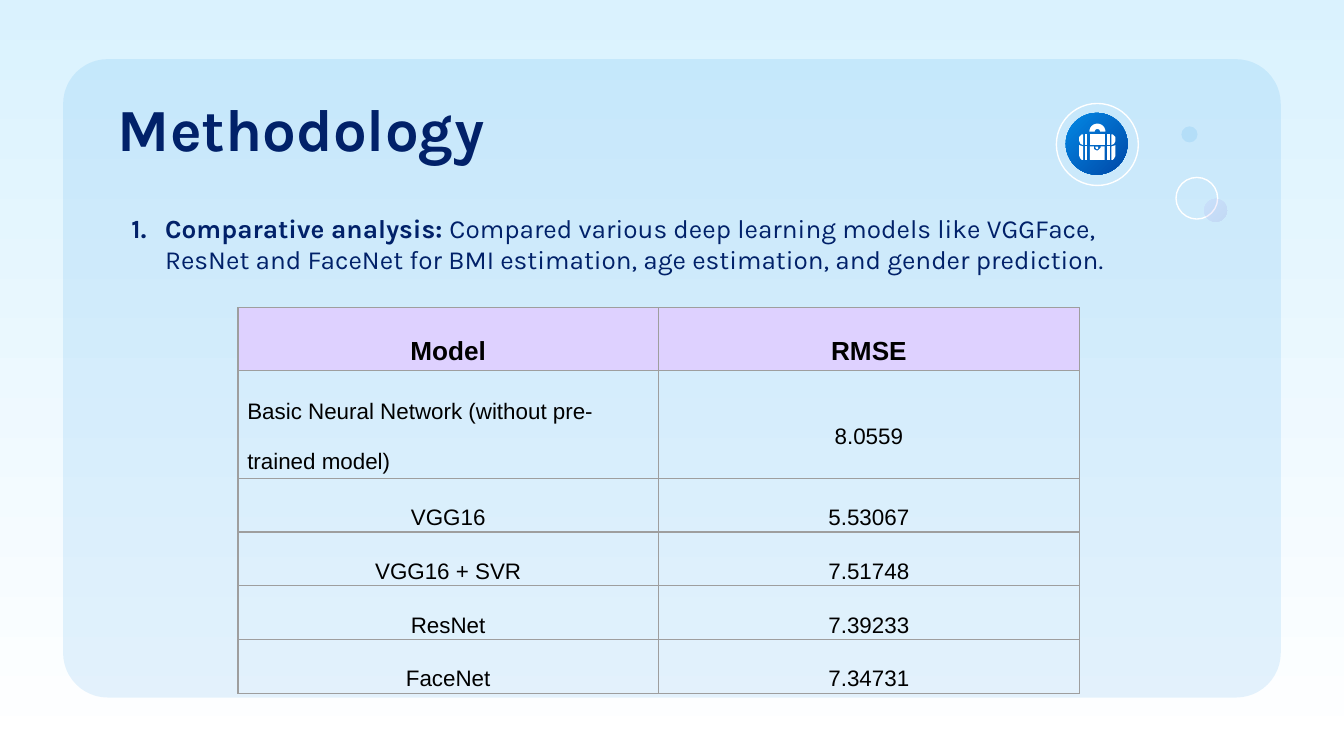
from math import cos, pi, sin

from lxml.etree import SubElement
from pptx import Presentation
from pptx.dml.color import RGBColor
from pptx.enum.shapes import MSO_SHAPE
from pptx.enum.text import MSO_ANCHOR, PP_ALIGN
from pptx.oxml import parse_xml
from pptx.oxml.ns import nsdecls, qn
from pptx.util import Inches, Pt

THEME = {
    "heading_font": "Karla", "table_font": "Arial",
    "navy": "012169", "blue": "0388E5", "deep_blue": "0048A7",
    "white": "FFFFFF", "sky": "DAF2FE", "black": "000000",
    "violet": "AD8DFF", "purple": "6746B9", "lilac": "DED1FF", "grey": "9E9E9E",
    "title": 32, "body": 14, "header": 14, "cell": 12, "line": 0.75,
}

TITLE = "Methodology"
POINT = [
    ("Comparative analysis: ", True),
    ("Compared various deep learning models like VGGFace, ResNet and FaceNet "
     "for BMI estimation, age estimation, and gender prediction.", False),
]
RESULTS = [
    ("Model", "RMSE"),
    ("Basic Neural Network (without pre-trained model)", "8.0559"),
    ("VGG16", "5.53067"),
    ("VGG16 + SVR", "7.51748"),
    ("ResNet", "7.39233"),
    ("FaceNet", "7.34731"),
]
RINGS = [(7.86, 0.77, 0.61), (8.75, 1.32, 0.31)]
CASE_CENTER = 8.165
CASE_SIDE = [
    [(8.07, 1), (8.07, 1.08), (8.09, 1.08), (8.09, 1)],
    [(8.07, 1.09), (8.07, 1.19), (8.09, 1.19), (8.09, 1.09)],
    [(8.05, 1), (8.04, 1.01), (8.03, 1.02), (8.03, 1.05), (8.04, 1.07), (8.06, 1.08), (8.06, 1)],
    [(8.03, 1.08), (8.03, 1.16), (8.04, 1.18), (8.05, 1.19), (8.06, 1.19), (8.06, 1.09)],
]
CASE_MIDDLE = [
    [(8.11, 1), (8.11, 1.08), (8.22, 1.08), (8.22, 1)],
    [(8.15, 1.09), (8.15, 1.1), (8.16, 1.11), (8.17, 1.11), (8.17, 1.09)],
    [(8.11, 1.09), (8.11, 1.19), (8.22, 1.19), (8.22, 1.09), (8.19, 1.09), (8.19, 1.1),
     (8.17, 1.12), (8.16, 1.12), (8.14, 1.11), (8.14, 1.09)],
]


def color(name):
    return RGBColor.from_string(THEME[name])


def paint(fill, names, angle=315):
    if len(names) == 1:
        fill.solid()
        fill.fore_color.rgb = color(names[0])
        return
    fill.gradient()
    fill.gradient_angle = angle
    for stop, name in zip(fill.gradient_stops, names):
        stop.color.rgb = color(name)


def add_filled(page, kind, left, top, width, height, names, opacity=100):
    shape = page.shapes.add_shape(kind, Inches(left), Inches(top), Inches(width), Inches(height))
    shape.shadow.inherit = False
    paint(shape.fill, names)
    shape.line.fill.background()
    if opacity < 100:
        for tint in shape.element.spPr.iter(qn("a:srgbClr")):
            SubElement(tint, qn("a:alpha"), val=str(opacity * 1000))
    return shape


def add_ring(page, left, top, size):
    ring = page.shapes.add_shape(
        MSO_SHAPE.OVAL, Inches(left), Inches(top), Inches(size), Inches(size))
    ring.shadow.inherit = False
    ring.fill.background()
    ring.line.color.rgb = color("white")
    ring.line.width = Pt(THEME["line"])


def add_outline(page, points):
    corners = [(Inches(x), Inches(y)) for x, y in points]
    builder = page.shapes.build_freeform(*corners[0])
    builder.add_line_segments(corners[1:], close=True)
    part = builder.convert_to_shape()
    part.shadow.inherit = False
    paint(part.fill, ["white"])
    part.line.fill.background()


def arc(radius, angles):
    return [(CASE_CENTER + radius * cos(a), 0.98 - radius * sin(a)) for a in angles]


def add_suitcase(page):
    add_filled(page, MSO_SHAPE.OVAL, 7.93, 0.84, 0.46, 0.46, ["blue", "deep_blue"])
    mirrored = [[(2 * CASE_CENTER - x, y) for x, y in part] for part in CASE_SIDE]
    angles = [pi * step / 12 for step in range(13)]
    handle = arc(0.06, angles) + arc(0.02, reversed(angles))
    for part in CASE_SIDE + mirrored + CASE_MIDDLE + [handle]:
        add_outline(page, part)


def style_font(font, family, size, tint, bold):
    font.name, font.size, font.bold = family, Pt(size), bold
    font.color.rgb = color(tint)


def add_text(page, left, top, width, height, runs, size, numbered=False):
    box = page.shapes.add_textbox(Inches(left), Inches(top), Inches(width), Inches(height))
    frame = box.text_frame
    frame.word_wrap = True
    frame.margin_left = frame.margin_right = Inches(0.1)
    frame.margin_top = frame.margin_bottom = Inches(0.1)
    para = frame.paragraphs[0]
    if numbered:
        properties = para._p.get_or_add_pPr()
        properties.set("marL", str(Inches(0.25)))
        properties.set("indent", str(Inches(-0.25)))
        tint = SubElement(properties, qn("a:buClr"))
        SubElement(tint, qn("a:srgbClr"), val=THEME["navy"])
        SubElement(properties, qn("a:buFont"), typeface=THEME["heading_font"])
        SubElement(properties, qn("a:buAutoNum"), type="arabicPeriod")
    style_font(para.font, THEME["heading_font"], size, "navy", runs[0][1])
    for text, bold in runs:
        span = para.add_run()
        span.text = text
        span.font.bold = bold


def add_borders(cell):
    properties = cell._tc.get_or_add_tcPr()
    for index, side in enumerate(("lnL", "lnR", "lnT", "lnB")):
        properties.insert(index, parse_xml(
            f'<a:{side} {nsdecls("a")} w="{Pt(THEME["line"])}"><a:solidFill>'
            f'<a:srgbClr val="{THEME["grey"]}"/></a:solidFill></a:{side}>'))


def add_results(page):
    height = Inches(2.87)
    frame = page.shapes.add_table(
        len(RESULTS), 2, Inches(1.77), Inches(2.29), Inches(6.26), height)
    table = frame.table
    table.first_row = table.horz_banding = False
    for row in table.rows:
        row.height = 0
    frame.height = height
    for r, values in enumerate(RESULTS):
        header = r == 0
        for c, value in enumerate(values):
            cell = table.cell(r, c)
            cell.margin_left = cell.margin_right = Inches(0.07)
            cell.margin_top = cell.margin_bottom = 0
            cell.vertical_anchor = MSO_ANCHOR.TOP if header else MSO_ANCHOR.MIDDLE
            if header:
                paint(cell.fill, ["lilac"])
            else:
                cell.fill.background()
            add_borders(cell)
            para = cell.text_frame.paragraphs[0]
            para.text = value
            para.line_spacing = 2.0
            para.alignment = PP_ALIGN.LEFT if (r, c) == (1, 0) else PP_ALIGN.CENTER
            size = THEME["header" if header else "cell"]
            style_font(para.font, THEME["table_font"], size, "black", header)


def main():
    deck = Presentation()
    deck.slide_width, deck.slide_height = Inches(10), Inches(10 * 9 / 16)
    page = deck.slides.add_slide(deck.slide_layouts[6])
    paint(page.background.fill, ["white", "sky"], angle=90)
    panel = add_filled(
        page, MSO_SHAPE.ROUNDED_RECTANGLE, 0.47, 0.44, 9.06, 4.75, ["blue"], opacity=10)
    panel.adjustments[0] = 0.07
    add_text(page, 0.78, 0.58, 8.44, 0.73, [(TITLE, True)], THEME["title"])
    add_text(page, 0.88, 1.48, 7.91, 2.85, POINT, THEME["body"], numbered=True)
    for ring in RINGS:
        add_ring(page, *ring)
    add_suitcase(page)
    add_filled(page, MSO_SHAPE.OVAL, 8.96, 1.48, 0.17, 0.17, ["violet", "purple"], opacity=10)
    add_filled(page, MSO_SHAPE.OVAL, 8.79, 0.94, 0.12, 0.12, ["blue"], opacity=10)
    add_results(page)
    deck.save("out.pptx")


if __name__ == "__main__":
    main()
